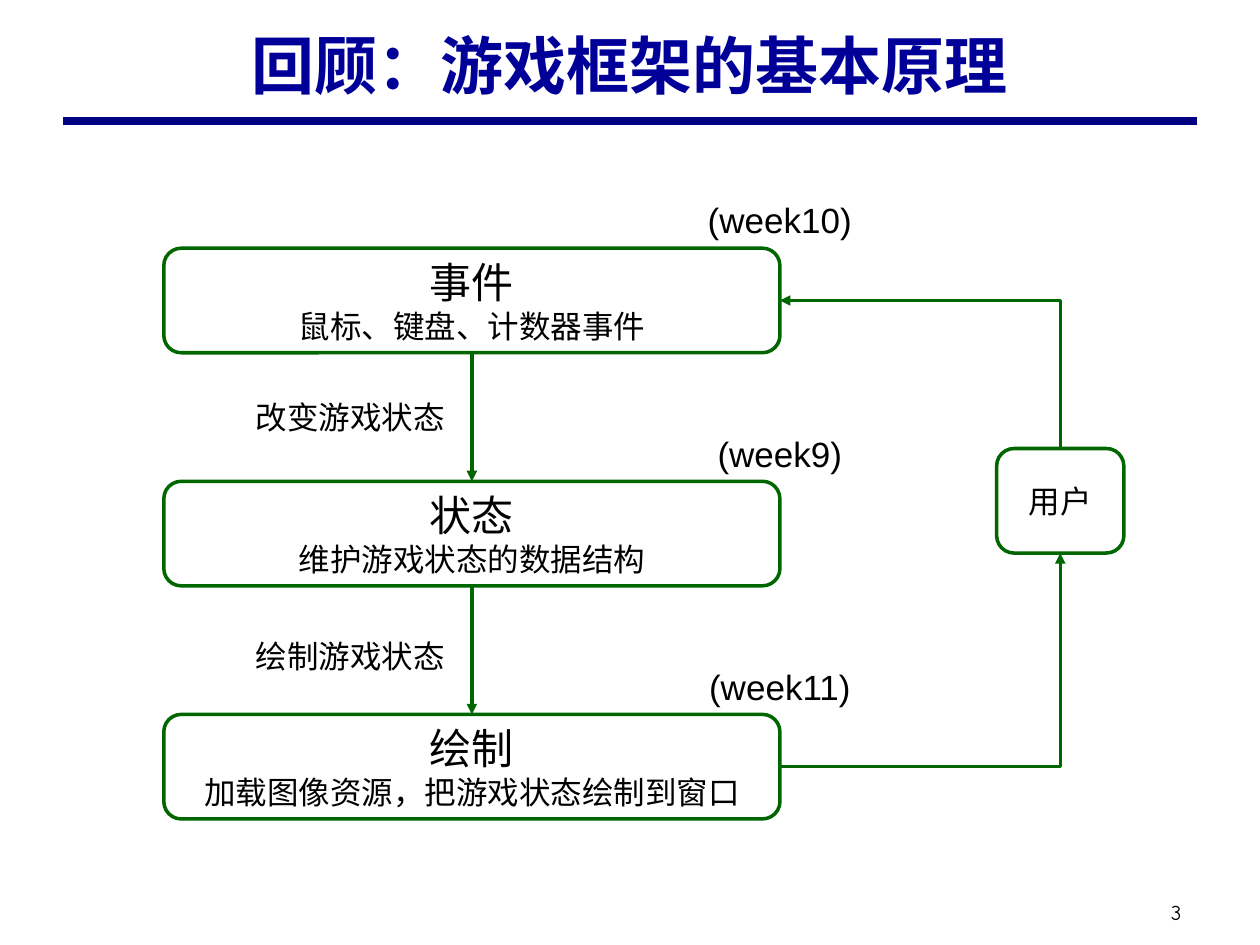
from lxml import etree
from pptx import Presentation
from pptx.dml.color import RGBColor
from pptx.enum.shapes import MSO_CONNECTOR as Link, MSO_SHAPE as Shape
from pptx.enum.text import MSO_ANCHOR as Anchor, MSO_AUTO_SIZE as AutoSize, PP_ALIGN as Align
from pptx.oxml.ns import qn
from pptx.util import Inches, Pt

COLORS = {"rule": "000080", "title": "000099", "flow": "006600", "text": "000000"}
TOP, LEFT, BOTTOM, RIGHT = range(4)

STAGE_LEFT, STAGE_WIDTH, BOX_HEIGHT = 1.3, 4.89, 0.83
FIRST_TOP, STAGE_STEP = 1.97, 1.85
WEEK_CENTER, WEEK_WIDTH, WEEK_HEIGHT = 6.19, 1.36, 0.44
STAGES = [
    ("事件", "鼠标、键盘、计数器事件", "(week10)"),
    ("状态", "维护游戏状态的数据结构", "(week9)"),
    ("绘制", "加载图像资源，把游戏状态绘制到窗口", "(week11)"),
]
STEP_NOTES = [("改变游戏状态", 3.11), ("绘制游戏状态", 5.01)]


def color(name):
    return RGBColor.from_string(COLORS[name])


def write(shape, lines, align=Align.CENTER, font="Arial", ink="text", bold=False):
    """Fill a shape with one paragraph per (text, size) pair."""
    frame = shape.text_frame
    frame.text = "\n".join(text for text, _ in lines)
    for para, (_, size) in zip(frame.paragraphs, lines):
        para.alignment = align
        for span in para.runs:
            span.font.name = font
            span.font.size = Pt(size)
            span.font.bold = bold
            span.font.color.rgb = color(ink)


def add_text(page, area, text, size, wrap=False, **style):
    box = page.shapes.add_textbox(*map(Inches, area))
    write(box, [(text, size)], **style)
    box.text_frame.word_wrap = wrap
    box.text_frame.auto_size = AutoSize.NONE if wrap else AutoSize.SHAPE_TO_FIT_TEXT
    return box


def add_box(page, area, lines):
    box = page.shapes.add_shape(Shape.ROUNDED_RECTANGLE, *map(Inches, area))
    box.shadow.inherit = False
    box.fill.background()
    box.line.color.rgb = color("flow")
    box.line.width = Pt(2)
    write(box, lines)
    box.text_frame.word_wrap = False
    box.text_frame.vertical_anchor = Anchor.MIDDLE
    return box


def add_line(page, kind, ink, width, ends=(0, 0, 0, 0)):
    line = page.shapes.add_connector(kind, *map(Inches, ends))
    line.line.color.rgb = color(ink)
    line.line.width = Pt(width)
    etree.SubElement(line._element.spPr, qn("a:effectLst"))
    return line


def add_arrow(page, kind, start, start_side, end, end_side):
    arrow = add_line(page, kind, "flow", 2)
    arrow.begin_connect(start, start_side)
    arrow.end_connect(end, end_side)
    outline = arrow.line._get_or_add_ln()
    etree.SubElement(outline, qn("a:tailEnd"), type="triangle")
    return arrow


def add_corner_arrow(page, *joints):
    """Add an elbow arrow with one bend, horizontal part first."""
    arrow = add_arrow(page, Link.ELBOW, *joints)
    arrow._element.spPr.find(qn("a:prstGeom")).set("prst", "bentConnector2")
    return arrow


def start_upward(arrow):
    """Turn an arrow that runs up and left so that its vertical part is first."""
    width, height = arrow.width, arrow.height
    arrow.left += (width - height) // 2
    arrow.top += (height - width) // 2
    arrow.width, arrow.height = height, width
    frame = arrow._element.spPr.find(qn("a:xfrm"))
    frame.set("rot", str(270 * 60000))
    frame.set("flipH", "0")
    frame.set("flipV", "1")


def add_heading(page):
    add_line(page, Link.STRAIGHT, "rule", 4.5, (0.5, 0.96, 9.5, 0.96))
    title = add_text(page, (0.75, 0.08, 8.5, 0.86), "回顾：游戏框架的基本原理", 36,
                     wrap=True, font="Times New Roman", ink="title", bold=True)
    number = add_text(page, (9.1, 7.09, 0.47, 0.3), "3", 12, wrap=True, font="Comic Neue")
    for box in (title, number):
        box.text_frame.vertical_anchor = Anchor.MIDDLE
    number.text_frame.margin_left = number.text_frame.margin_right = Inches(0.05)


def add_stages(page):
    boxes = []
    for index, (name, detail, week) in enumerate(STAGES):
        top = FIRST_TOP + index * STAGE_STEP
        area = (STAGE_LEFT, top, STAGE_WIDTH, BOX_HEIGHT)
        boxes.append(add_box(page, area, [(name, 24), (detail, 18)]))
        week_area = (WEEK_CENTER - WEEK_WIDTH / 2, top - WEEK_HEIGHT, WEEK_WIDTH, WEEK_HEIGHT)
        add_text(page, week_area, week, 20)
    return boxes


def main():
    deck = Presentation()
    deck.slide_width, deck.slide_height = Inches(10), Inches(7.5)
    page = deck.slides.add_slide(deck.slide_layouts[6])

    add_heading(page)
    event, state, drawing = add_stages(page)
    user = add_box(page, (7.91, 3.56, 1.01, BOX_HEIGHT), [("用户", 18)])
    for note, top in STEP_NOTES:
        add_text(page, (1.93, top, 1.72, 0.4), note, 18, align=Align.LEFT)

    for upper, lower in ((event, state), (state, drawing)):
        add_arrow(page, Link.STRAIGHT, upper, BOTTOM, lower, TOP)
    start_upward(add_corner_arrow(page, user, TOP, event, RIGHT))
    add_corner_arrow(page, drawing, RIGHT, user, BOTTOM)

    deck.save("out.pptx")


if __name__ == "__main__":
    main()
